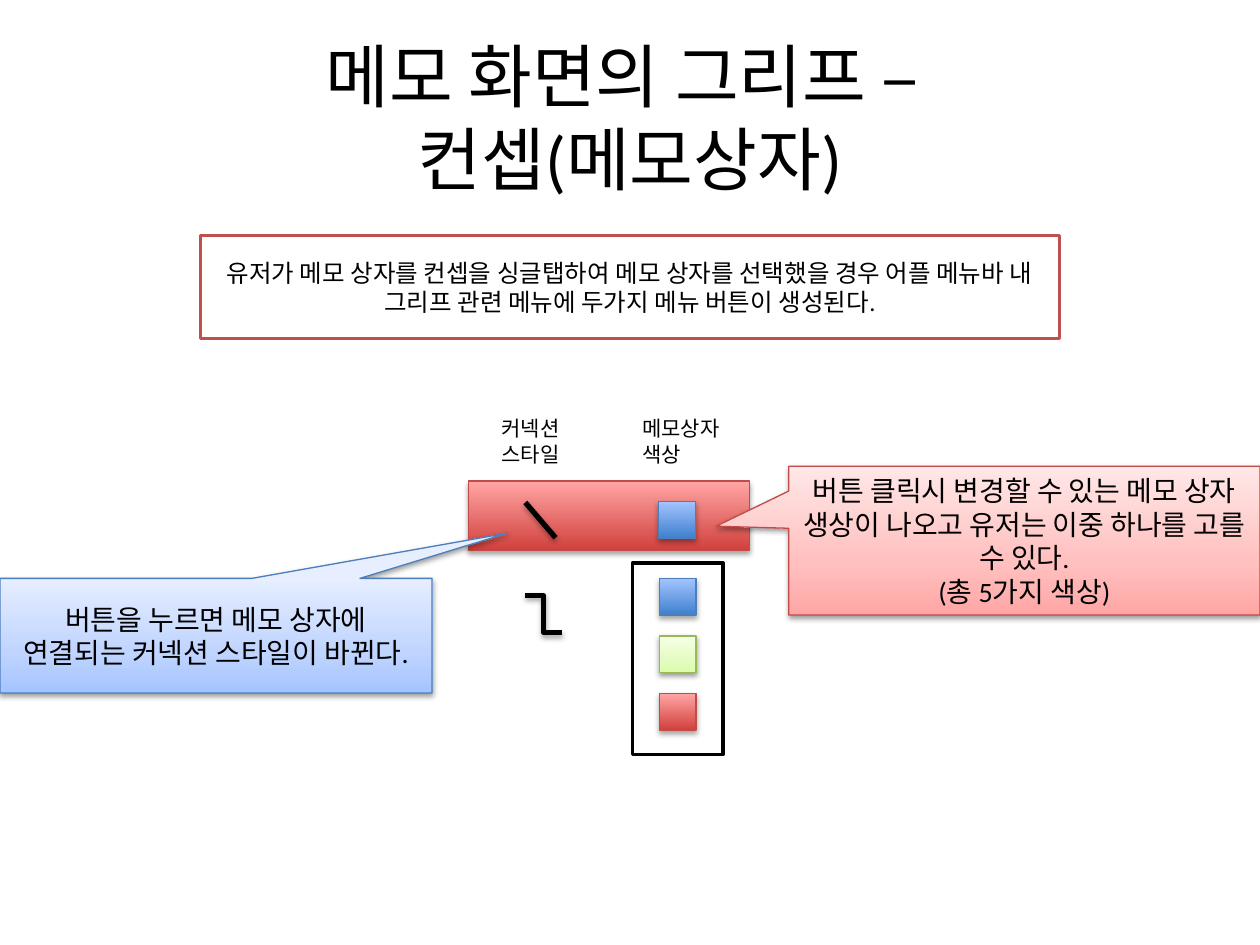
from lxml import etree
from pptx import Presentation
from pptx.dml.color import RGBColor
from pptx.enum.shapes import MSO_CONNECTOR, MSO_SHAPE
from pptx.enum.text import MSO_ANCHOR, MSO_AUTO_SIZE, PP_ALIGN
from pptx.oxml.ns import qn
from pptx.util import Cm, Pt

RECTANGLE = MSO_SHAPE.RECTANGLE
CALLOUT = MSO_SHAPE.RECTANGULAR_CALLOUT
STRAIGHT, ELBOW = MSO_CONNECTOR.STRAIGHT, MSO_CONNECTOR.ELBOW
CENTER, LEFT = PP_ALIGN.CENTER, PP_ALIGN.LEFT
MIDDLE = MSO_ANCHOR.MIDDLE

FONT = "Calibri"
BLACK = RGBColor(0x00, 0x00, 0x00)
WHITE = RGBColor(0xFF, 0xFF, 0xFF)
NOTE_RED = RGBColor(0xC0, 0x50, 0x4D)
RED_LINE = RGBColor(0xBF, 0x4C, 0x48)
BLUE_LINE = RGBColor(0x4B, 0x7E, 0xBC)
GREEN_LINE = RGBColor(0x98, 0xB9, 0x55)
RED_DARK = RGBColor(0xD1, 0x40, 0x3C)
RED_MID = RGBColor(0xFF, 0xA6, 0xA5)
RED_SOFT = RGBColor(0xFF, 0xC0, 0xBF)
RED_PALE = RGBColor(0xFF, 0xE7, 0xE7)
BLUE_DARK = RGBColor(0x3F, 0x80, 0xCE)
BLUE_MID = RGBColor(0xA4, 0xC4, 0xFF)
BLUE_SOFT = RGBColor(0xBF, 0xD4, 0xFF)
BLUE_PALE = RGBColor(0xE6, 0xEE, 0xFF)
GREEN_MID = RGBColor(0xDA, 0xFD, 0xA7)
GREEN_SOFT = RGBColor(0xE4, 0xFC, 0xC2)
GREEN_PALE = RGBColor(0xF5, 0xFF, 0xE7)

# Each look: outline colour and gradient colours from bottom to top
RED = (RED_LINE, [RED_DARK, RED_MID])
BLUE = (BLUE_LINE, [BLUE_DARK, BLUE_MID])
GREEN = (GREEN_LINE, [GREEN_MID, GREEN_SOFT, GREEN_PALE])
LIGHT_RED = (RED_LINE, [RED_MID, RED_SOFT, RED_PALE])
LIGHT_BLUE = (BLUE_LINE, [BLUE_MID, BLUE_SOFT, BLUE_PALE])

SWATCH = 0.74  # side of a colour button, cm


def write_text(shape, lines, size, alignment=CENTER):
    frame = shape.text_frame
    frame.text = "\n".join(lines)
    for paragraph in frame.paragraphs:
        paragraph.alignment = alignment
        paragraph.font.name = FONT
        paragraph.font.size = Pt(size)
        paragraph.font.color.rgb = BLACK


def add_shadow(shape, opacity=35, distance=1.8):
    properties = shape._element.spPr
    effects = properties.find(qn("a:effectLst"))
    if effects is None:
        effects = etree.SubElement(properties, qn("a:effectLst"))
    shadow = etree.SubElement(
        effects, qn("a:outerShdw"), blurRad=str(Pt(3.1)), dist=str(Pt(distance)),
        dir="5400000", rotWithShape="0")
    color = etree.SubElement(shadow, qn("a:srgbClr"), val=str(BLACK))
    etree.SubElement(color, qn("a:alpha"), val=str(opacity * 1000))


def add_box(slide, kind, box, line_color, line_width):
    shape = slide.shapes.add_shape(kind, *map(Cm, box))
    shape.shadow.inherit = False
    shape.fill.solid()
    shape.fill.fore_color.rgb = WHITE
    shape.line.color.rgb = line_color
    shape.line.width = Pt(line_width)
    return shape


def add_glossy_box(slide, kind, box, look):
    line_color, colors = look
    shape = add_box(slide, kind, box, line_color, 0.75)
    shape.fill.gradient()
    shape.fill.gradient_angle = 90
    stops = next(shape._element.spPr.iter(qn("a:gsLst")))
    for stop in list(stops):
        stops.remove(stop)
    positions = [0, 100] if len(colors) == 2 else [0, 35, 100]
    for position, color in zip(positions, colors):
        stop = etree.SubElement(stops, qn("a:gs"), pos=str(position * 1000))
        etree.SubElement(stop, qn("a:srgbClr"), val=str(color))
    if len(colors) == 2:
        add_shadow(shape)
    else:
        add_shadow(shape, 38, 1.6)
    return shape


def add_line_icon(slide, kind, left, top, width, height):
    ends = map(Cm, (left, top, left + width, top + height))
    connector = slide.shapes.add_connector(kind, *ends)
    connector.line.color.rgb = BLACK
    connector.line.width = Pt(3)
    add_shadow(connector)


def add_label(slide, box, lines):
    label = slide.shapes.add_textbox(*map(Cm, box))
    label.text_frame.word_wrap = False
    label.text_frame.auto_size = MSO_AUTO_SIZE.SHAPE_TO_FIT_TEXT
    write_text(label, lines, 12, LEFT)


def place_title(slide, box):
    title = slide.shapes.title
    title.left, title.top, title.width, title.height = map(Cm, box)
    title.text_frame.auto_size = MSO_AUTO_SIZE.NONE
    title.text_frame.vertical_anchor = MIDDLE
    write_text(title, ["메모 화면의 그리프 – \v컨셉(메모상자)"], 39.6)


def place_note(slide, box):
    note = add_box(slide, RECTANGLE, box, NOTE_RED, 2)
    note.text_frame.vertical_anchor = MIDDLE
    write_text(note, ["유저가 메모 상자를 컨셉을 싱글탭하여 메모 상자를 선택했을 경우 "
                      "어플 메뉴바 내 그리프 관련 메뉴에 두가지 메뉴 버튼이 생성된다."], 14)


def place_palette(slide, box):
    left, top, width, height = box
    add_box(slide, RECTANGLE, box, BLACK, 2)
    for row, look in enumerate([BLUE, GREEN, RED]):
        swatch = (left + (width - SWATCH) / 2, top + 0.31 + row * 1.16, SWATCH, SWATCH)
        add_glossy_box(slide, RECTANGLE, swatch, look)


def place_toolbar(slide, box):
    left, top, width, height = box
    add_glossy_box(slide, RECTANGLE, box, RED)
    # Names above the two buttons
    add_label(slide, (left + 0.41, top - 1.44, 1.8, 1.27), ["커넥션", "스타일"])
    add_label(slide, (left + 3.25, top - 1.44, 2.24, 1.27), ["메모상자", "색상"])
    # Buttons, and the second connection style below the bar
    add_line_icon(slide, STRAIGHT, left + 1.14, top + 0.43, 0.61, 0.71)
    add_line_icon(slide, ELBOW, left + 1.14, top + 2.31, SWATCH, SWATCH)
    add_glossy_box(slide, RECTANGLE, (left + 3.83, top + 0.41, SWATCH, SWATCH), BLUE)


def place_callout(slide, box, look, tip, lines):
    callout = add_glossy_box(slide, CALLOUT, box, look)
    callout.adjustments[0], callout.adjustments[1] = tip
    callout.text_frame.vertical_anchor = MIDDLE
    write_text(callout, lines, 16)


def main():
    presentation = Presentation()
    presentation.slide_width, presentation.slide_height = Cm(25.4), Cm(19.05)
    slide = presentation.slides.add_slide(presentation.slide_layouts[5])

    place_title(slide, (1.27, 0.76, 22.86, 3.18))
    place_note(slide, (4.04, 4.75, 17.32, 2.08))
    place_palette(slide, (12.75, 11.35, 1.83, 3.86))
    place_toolbar(slide, (9.45, 9.7, 5.66, 1.4))
    place_callout(slide, (15.9, 9.4, 9.5, 3), LIGHT_RED, (-0.654, -0.097),
                  ["버튼 클릭시 변경할 수 있는 메모 상자 생상이 나오고 "
                   "유저는 이중 하나를 고를 수 있다.", "(총 5가지 색상)"])
    place_callout(slide, (0, 11.66, 8.71, 2.31), LIGHT_BLUE, (0.674, -0.894),
                  ["버튼을 누르면 메모 상자에 연결되는 커넥션 스타일이 바뀐다."])

    presentation.save("out.pptx")


if __name__ == "__main__":
    main()
